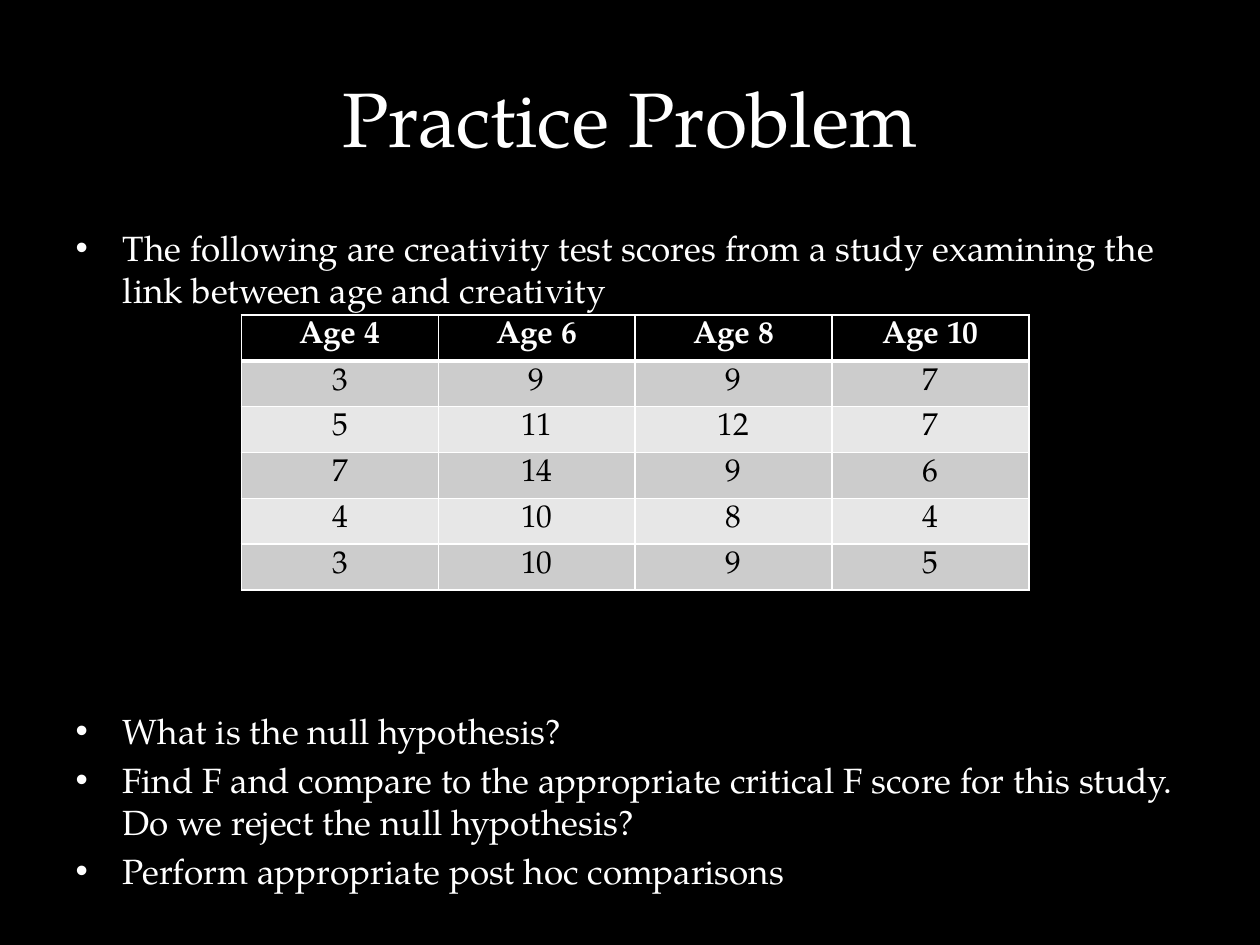
from dataclasses import dataclass

from lxml import etree
from pptx import Presentation
from pptx.dml.color import RGBColor
from pptx.enum.text import MSO_ANCHOR, MSO_AUTO_SIZE, PP_ALIGN
from pptx.oxml.ns import qn
from pptx.util import Pt

CENTER = PP_ALIGN.CENTER
LEFT = PP_ALIGN.LEFT
MIDDLE = MSO_ANCHOR.MIDDLE
TOP = MSO_ANCHOR.TOP
NO_FIT = MSO_AUTO_SIZE.NONE

FONT = "TeX Gyre Pagella"
COLORS = {
    "black": "000000",
    "white": "FFFFFF",
    "odd_row": "CCCCCC",
    "even_row": "E7E7E7",
}


@dataclass
class Box:
    left: float
    top: float
    width: float
    height: float


@dataclass
class Style:
    size: float
    color: str
    align: PP_ALIGN
    bold: bool = False


@dataclass
class RowStyle:
    text: Style
    fill: str
    top_line: float
    bottom_line: float


TITLE_BOX = Box(36, 21.6, 648, 90)
BODY_BOX = Box(36, 126, 648, 356.4)
TABLE_BOX = Box(138, 180, 450, 157.2)
TABLE_GAP = 228
CELL_TOP_MARGIN = 3.6

BULLETS = [
    "The following are creativity test scores from a study examining "
    "the link between age and creativity",
    "What is the null hypothesis?",
    "Find F and compare to the appropriate critical F score for this study. "
    "Do we reject the null hypothesis?",
    "Perform appropriate post hoc comparisons",
]
SCORES = {
    "Age 4": [3, 5, 7, 4, 3],
    "Age 6": [9, 11, 14, 10, 10],
    "Age 8": [9, 12, 9, 8, 9],
    "Age 10": [7, 7, 6, 4, 5],
}


def rgb(name: str) -> RGBColor:
    return RGBColor.from_string(COLORS[name])


def format_text(tf, style: Style) -> None:
    for p in tf.paragraphs:
        p.alignment = style.align
        for r in p.runs:
            r.font.name = FONT
            r.font.size = Pt(style.size)
            r.font.bold = style.bold
            r.font.color.rgb = rgb(style.color)


def fill_placeholder(sp, box: Box, text: str, style: Style, anchor) -> None:
    sp.left, sp.top = Pt(box.left), Pt(box.top)
    sp.width, sp.height = Pt(box.width), Pt(box.height)
    tf = sp.text_frame
    tf.text = text
    tf.auto_size = NO_FIT
    tf.vertical_anchor = anchor
    format_text(tf, style)


def add_border(cell, side: str, width: float) -> None:
    tc_pr = cell._tc.get_or_add_tcPr()
    ln = etree.SubElement(tc_pr, qn(f"a:ln{side}"), w=str(Pt(width)))
    fill = etree.SubElement(ln, qn("a:solidFill"))
    etree.SubElement(fill, qn("a:srgbClr"), val=COLORS["white"])


def draw_cell(cell, text: str, row: RowStyle) -> None:
    cell.text = text
    cell.margin_top = Pt(CELL_TOP_MARGIN)
    cell.margin_bottom = 0
    format_text(cell.text_frame, row.text)
    borders = {"L": 1, "R": 1, "T": row.top_line, "B": row.bottom_line}
    for side, width in borders.items():
        add_border(cell, side, width)
    cell.fill.solid()
    cell.fill.fore_color.rgb = rgb(row.fill)


def row_style(i: int) -> RowStyle:
    if i == 0:
        return RowStyle(Style(18, "white", CENTER, True), "black", 1, 3)
    fill = "odd_row" if i % 2 else "even_row"
    return RowStyle(Style(18, "black", CENTER), fill, 3 if i == 1 else 1, 1)


def add_score_table(slide, box: Box) -> None:
    rows = [list(SCORES), *zip(*SCORES.values())]
    table = slide.shapes.add_table(
        len(rows), len(SCORES),
        Pt(box.left), Pt(box.top), Pt(box.width), Pt(box.height),
    ).table
    for col in table.columns:
        col.width = Pt(box.width / len(SCORES))
    for i, values in enumerate(rows):
        table.rows[i].height = Pt(box.height / len(rows))
        for j, value in enumerate(values):
            draw_cell(table.cell(i, j), str(value), row_style(i))


prs = Presentation()
prs.slide_width, prs.slide_height = Pt(720), Pt(540)
slide = prs.slides.add_slide(prs.slide_layouts[1])
slide.background.fill.solid()
slide.background.fill.fore_color.rgb = rgb("black")

fill_placeholder(slide.shapes.title, TITLE_BOX, "Practice Problem",
                 Style(44, "white", CENTER), MIDDLE)
body = slide.placeholders[1]
fill_placeholder(body, BODY_BOX, "\n".join(BULLETS),
                 Style(20, "white", LEFT), TOP)
body.text_frame.paragraphs[1].space_before = Pt(TABLE_GAP)
add_score_table(slide, TABLE_BOX)

prs.save("out.pptx")
